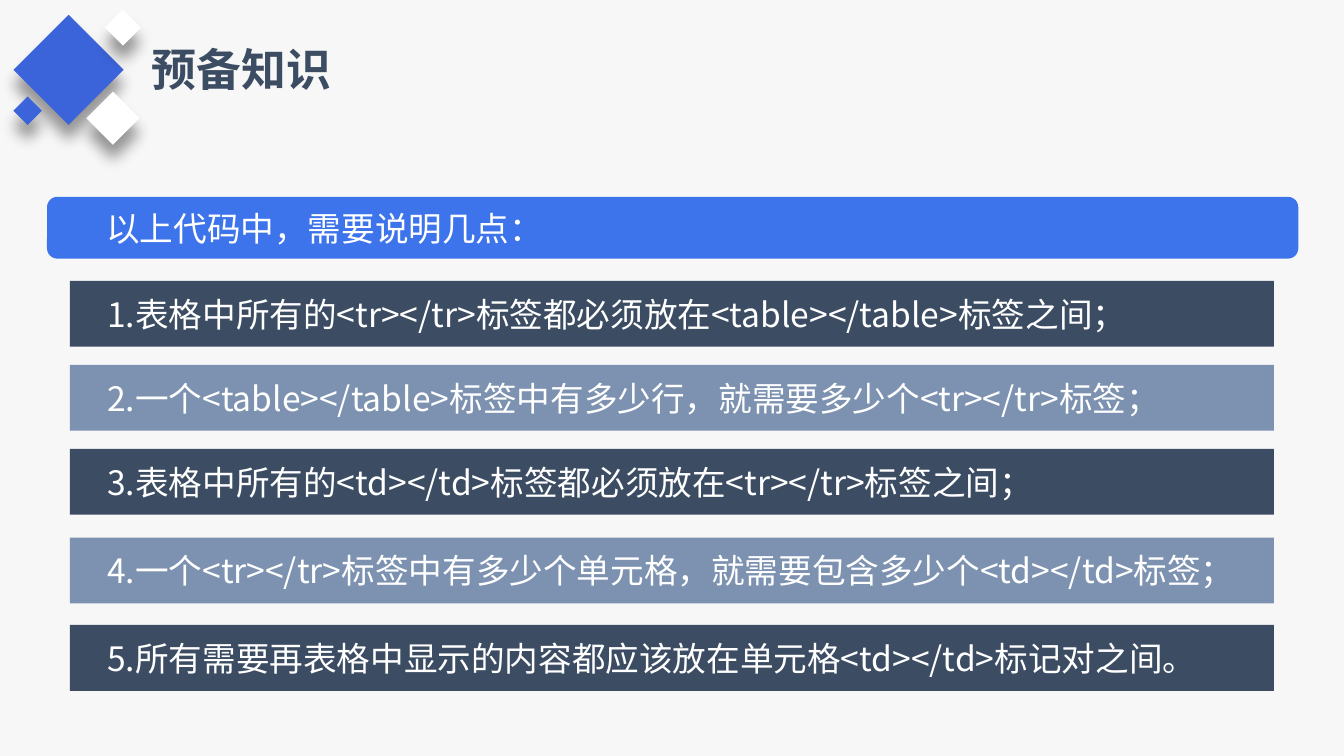
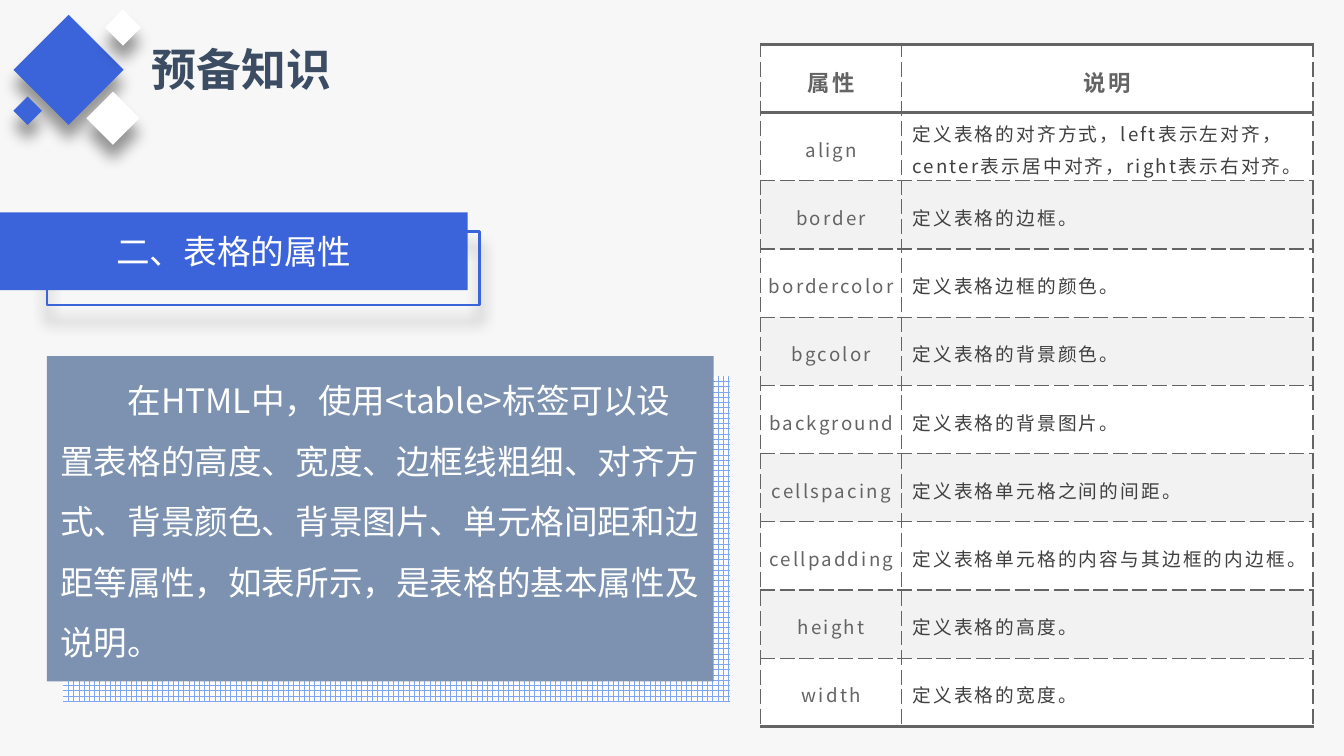
from lxml.etree import SubElement
from pptx import Presentation
from pptx.dml.color import RGBColor
from pptx.enum.dml import MSO_PATTERN
from pptx.enum.shapes import MSO_SHAPE
from pptx.enum.text import MSO_ANCHOR, MSO_AUTO_SIZE, PP_ALIGN
from pptx.oxml.ns import qn
from pptx.util import Emu, Pt

EMU_PER_PX = 4572
FONT = "Noto Sans CJK SC"
COLORS = {
    "background": "F7F7F7",
    "navy": "3C4D63",
    "slate": "7C92B0",
    "blue": "3B64DA",
    "bright": "3D74EB",
    "grid": "7FA6F2",
    "white": "FFFFFF",
    "stripe": "F2F2F2",
    "gray": "646464",
    "ink": "404040",
}
BODY = {"size": Pt(18), "bold": False}
TITLE = {"size": Pt(24), "bold": True}
HEADER = {"size": Pt(12), "bold": True}
CELL = {"size": Pt(10), "bold": False}

RULES = [
    "1.表格中所有的<tr></tr>标签都必须放在<table></table>标签之间；",
    "2.一个<table></table>标签中有多少行，就需要多少个<tr></tr>标签；",
    "3.表格中所有的<td></td>标签都必须放在<tr></tr>标签之间；",
    "4.一个<tr></tr>标签中有多少个单元格，就需要包含多少个<td></td>标签；",
    "5.所有需要再表格中显示的内容都应该放在单元格<td></td>标记对之间。",
]
RULE_OFFSETS = [0, 125, 250, 382, 512]
INTRODUCTION = (
    "在HTML中，使用<table>标签可以设置表格的高度、宽度、边框线粗细、对齐方式、"
    "背景颜色、背景图片、单元格间距和边距等属性，如表所示，是表格的基本属性及说明。"
)
ATTRIBUTES = [
    ("属性", "说明"),
    ("align", "定义表格的对齐方式，left表示左对齐，center表示居中对齐，right表示右对齐。"),
    ("border", "定义表格的边框。"),
    ("bordercolor", "定义表格边框的颜色。"),
    ("bgcolor", "定义表格的背景颜色。"),
    ("background", "定义表格的背景图片。"),
    ("cellspacing", "定义表格单元格之间的间距。"),
    ("cellpadding", "定义表格单元格的内容与其边框的内边框。"),
    ("height", "定义表格的高度。"),
    ("width", "定义表格的宽度。"),
]


def px(length):
    """Turn pixels into EMU."""
    return Emu(length * EMU_PER_PX)


def color(name):
    """Look up a named colour."""
    return RGBColor.from_string(COLORS[name])


def set_attributes(target, values):
    """Set every attribute in a dict of format values."""
    for name, value in values.items():
        setattr(target, name, value)


def write(frame, text, font_format, color_name, align=PP_ALIGN.LEFT, indent=0, line_spacing=1.0, tracking=0):
    """Write one formatted paragraph into a text frame."""
    paragraph = frame.paragraphs[0]
    set_attributes(paragraph, {"alignment": align, "line_spacing": line_spacing})
    if indent:
        properties = paragraph._p.get_or_add_pPr()
        properties.set("marL", "0")
        properties.set("indent", str(px(indent)))
    run = paragraph.add_run()
    run.text = text
    set_attributes(run.font, {"name": FONT, **font_format})
    run.font.color.rgb = color(color_name)
    run_properties = run._r.get_or_add_rPr()
    if tracking:
        run_properties.set("spc", str(tracking))
    SubElement(run_properties, qn("a:ea"), typeface=FONT)


def add_box(slide, box, fill=None, kind=MSO_SHAPE.RECTANGLE):
    """Add a flat shape without outline."""
    shape = slide.shapes.add_shape(kind, *map(px, box))
    shape.shadow.inherit = False
    shape.line.fill.background()
    if fill:
        shape.fill.solid()
        shape.fill.fore_color.rgb = color(fill)
    else:
        shape.fill.background()
    return shape


def add_label(slide, box, fill, text, kind=MSO_SHAPE.RECTANGLE, **layout):
    """Add a filled shape with white body text."""
    shape = add_box(slide, box, fill, kind)
    set_attributes(shape.text_frame, {"word_wrap": True, "vertical_anchor": MSO_ANCHOR.MIDDLE})
    write(shape.text_frame, text, BODY, "white", **layout)
    return shape


def add_shadow(shape):
    """Give a shape a soft shadow below it."""
    effects = shape._element.spPr.find(qn("a:effectLst"))
    shadow = SubElement(
        effects, qn("a:outerShdw"), blurRad=str(Pt(8)), dist=str(Pt(8)), dir="5400000", algn="t", rotWithShape="0"
    )
    shade = SubElement(shadow, qn("a:srgbClr"), val="000000")
    SubElement(shade, qn("a:alpha"), val="40000")


def add_diamonds(slide, left, top):
    """Place the cluster of four diamonds."""
    diamonds = [(18, 24, 116, "blue"), (114, 126, 56, "white"), (138, 0, 38, "white"), (0, 128, 30, "blue")]
    for x, y, side, fill in diamonds:
        diamond = add_box(slide, (left + x, top + y, side, side), fill)
        diamond.rotation = 45
        add_shadow(diamond)


def add_titled_slide(presentation, text):
    """Add a slide with the shared title and diamonds."""
    slide = presentation.slides.add_slide(presentation.slide_layouts[5])
    title = slide.shapes.title
    set_attributes(title, {"left": px(206), "top": px(52), "width": px(308), "height": px(100)})
    set_attributes(
        title.text_frame,
        {"word_wrap": False, "auto_size": MSO_AUTO_SIZE.SHAPE_TO_FIT_TEXT, "vertical_anchor": MSO_ANCHOR.TOP},
    )
    write(title.text_frame, text, TITLE, "navy")
    add_diamonds(slide, 26, 22)
    return slide


def add_rules(slide, left, top, width):
    """Place the heading bar and the rules in alternating colours."""
    add_label(
        slide, (left, top, width, 92), "bright", "以上代码中，需要说明几点：", MSO_SHAPE.ROUNDED_RECTANGLE, indent=64
    )
    for index, (offset, rule) in enumerate(zip(RULE_OFFSETS, RULES)):
        box = (left + 34, top + 125 + offset, width - 70, 98)
        add_label(slide, box, ("navy", "slate")[index % 2], rule, indent=36)


def add_section_banner(slide, left, top, width, height):
    """Place the section banner over its offset outline."""
    outline = add_box(slide, (left + 70, top + 28, width - 52, height - 6))
    outline.line.color.rgb = color("blue")
    outline.line.width = Pt(1.5)
    add_shadow(outline)
    add_label(slide, (left, top, width, height), "blue", "二、表格的属性", align=PP_ALIGN.CENTER)


def add_introduction(slide, left, top, width, height):
    """Place the introduction over its offset grid."""
    grid = add_box(slide, (left + 24, top + 30, width, height))
    grid.fill.patterned()
    grid.fill.pattern = MSO_PATTERN.LARGE_GRID
    grid.fill.fore_color.rgb = color("grid")
    grid.fill.back_color.rgb = color("white")
    panel = add_label(slide, (left, top, width, height), "slate", INTRODUCTION, indent=100, line_spacing=1.5)
    panel.text_frame.margin_bottom = px(32)


def add_borders(cell, heavy_sides):
    """Draw solid heavy sides and thin dashed ones around a cell."""
    properties = cell._tc.get_or_add_tcPr()
    for side in "LRTB":
        heavy = side in heavy_sides
        line = SubElement(properties, qn(f"a:ln{side}"), w=str(Pt(2.25 if heavy else 0.75)))
        fill = SubElement(line, qn("a:solidFill"))
        SubElement(fill, qn("a:srgbClr"), val=COLORS["gray"])
        SubElement(line, qn("a:prstDash"), val="solid" if heavy else "sysDash")


def add_attribute_table(slide, left, top, width, height):
    """Place the table of attributes and their meaning."""
    last = len(ATTRIBUTES) - 1
    table = slide.shapes.add_table(last + 1, 2, *map(px, (left, top, width, height))).table
    table.columns[0].width = px(210)
    table.columns[1].width = px(width - 210)
    heavy_sides = {0: "TB", 1: "T", last: "B"}
    for row, texts in enumerate(ATTRIBUTES):
        for column, text in enumerate(texts):
            cell = table.cell(row, column)
            description = row > 0 and column == 1
            margins = {"margin_left": px(16 if description else 0), "margin_right": 0}
            set_attributes(
                cell,
                {**margins, "margin_top": px(2), "margin_bottom": px(2), "vertical_anchor": MSO_ANCHOR.MIDDLE},
            )
            add_borders(cell, heavy_sides.get(row, ""))
            cell.fill.solid()
            cell.fill.fore_color.rgb = color("stripe" if row and row % 2 == 0 else "white")
            write(
                cell.text_frame,
                text,
                CELL if row else HEADER,
                "ink" if description else "gray",
                align=PP_ALIGN.LEFT if description else PP_ALIGN.CENTER,
                line_spacing=1.2,
                tracking=120,
            )


def main():
    """Build and save the presentation."""
    presentation = Presentation()
    set_attributes(presentation, {"slide_width": px(2000), "slide_height": px(1125)})
    background = presentation.slide_master.background.fill
    background.solid()
    background.fore_color.rgb = color("background")

    rules_slide = add_titled_slide(presentation, "预备知识")
    add_rules(rules_slide, 70, 293, 1862)

    attributes_slide = add_titled_slide(presentation, "预备知识")
    add_section_banner(attributes_slide, 0, 316, 696, 116)
    add_introduction(attributes_slide, 70, 530, 992, 484)
    add_attribute_table(attributes_slide, 1132, 66, 822, 1015)

    presentation.save("out.pptx")


if __name__ == "__main__":
    main()
